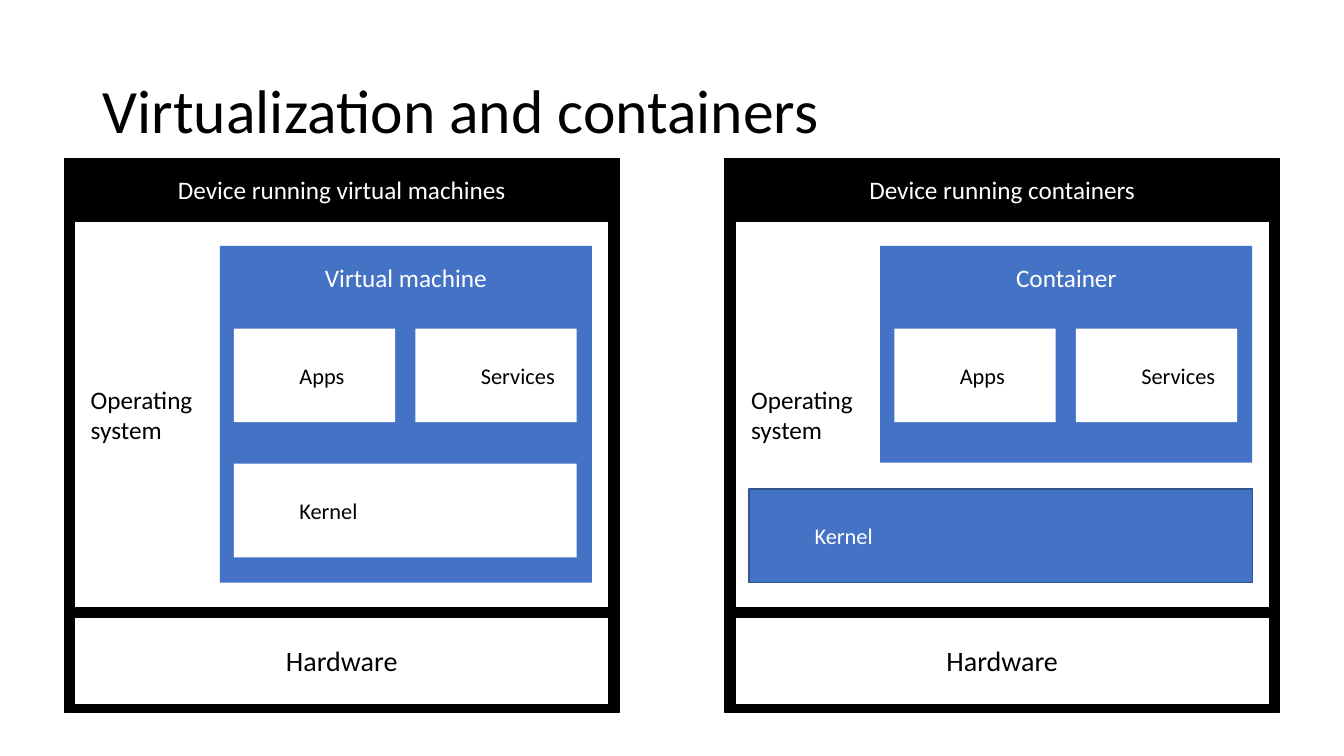
from pptx import Presentation
from pptx.dml.color import RGBColor
from pptx.enum import shapes, text
from pptx.util import Inches, Pt

# Content
TITLE = "Virtualization and containers"
BLACK, WHITE, BLUE, NAVY = "000000", "FFFFFF", "4472C4", "325491"
FONT = "Calibri"

# Layout: two square devices, inner places measured from a device's corner
WIDTH, HEIGHT = 13.33, 7.5
DEVICE_LEFT, DEVICE_TOP, DEVICE_SIDE, DEVICE_STEP = 0.64, 1.57, 5.5, 6.55
PAD = 0.1
INNER = DEVICE_SIDE - 2 * PAD
GUEST_LEFT, GUEST_TOP, GUEST_WIDTH = 1.54, 0.87, 3.69
PART_LEFT = GUEST_LEFT + 0.14
PART_TOP, PART_WIDTH, PART_STEP, PART_HEIGHT = 1.69, 1.6, 1.8, 0.93

# Styles: fill, line, font colour, size, alignment, anchor, insets
LEFT, CENTER = text.PP_ALIGN.LEFT, text.PP_ALIGN.CENTER
TOP, MIDDLE = text.MSO_ANCHOR.TOP, text.MSO_ANCHOR.MIDDLE
WIDE, INDENT = (0.2, 0.16, 0.2, 0.16), (0.65, 0, 0, 0)
STYLES = {
    "device": (BLACK, BLACK, WHITE, 18, CENTER, TOP, WIDE),
    "hardware": (WHITE, BLACK, BLACK, 20, CENTER, MIDDLE, WIDE),
    "system": (WHITE, BLACK, BLACK, 18, LEFT, MIDDLE, (0.16, 0.2, 0.16, 0.2)),
    "guest": (BLUE, None, WHITE, 18, CENTER, TOP, WIDE),
    "part": (WHITE, None, BLACK, 16, LEFT, MIDDLE, INDENT),
    "shared": (BLUE, NAVY, WHITE, 16, LEFT, MIDDLE, INDENT),
}

# Each device: caption, guest name, guest height, kernel style and place
DEVICES = [
    ("Device running virtual machines", "Virtual machine", 3.34,
     "part", (PART_LEFT, 3.03, 3.4, PART_HEIGHT)),
    ("Device running containers", "Container", 2.15,
     "shared", (0.24, 3.28, 4.99, PART_HEIGHT)),
]
PARTS = ["Apps", "Services"]


def color(value):
    return RGBColor.from_string(value)


def write(para, words, size, shade):
    for number, line in enumerate(words.split("\n")):
        if number:
            para.add_line_break()
        span = para.add_run()
        span.text = line
        span.font.name, span.font.size = FONT, Pt(size)
        span.font.color.rgb = color(shade)


def add_block(group, corner, words, style, place):
    fill, line, shade, size, align, anchor, insets = STYLES[style]
    left, top, width, height = place
    box = group.shapes.add_shape(
        shapes.MSO_SHAPE.RECTANGLE, Inches(corner + left),
        Inches(DEVICE_TOP + top), Inches(width), Inches(height))
    box.shadow.inherit = False
    box.fill.solid()
    box.fill.fore_color.rgb = color(fill)
    if line:
        box.line.color.rgb = color(line)
        box.line.width = Pt(1)
    else:
        box.line.fill.background()
    frame = box.text_frame
    frame.word_wrap = True
    frame.vertical_anchor = anchor
    (frame.margin_left, frame.margin_top,
     frame.margin_right, frame.margin_bottom) = map(Inches, insets)
    para = frame.paragraphs[0]
    para.alignment = align
    write(para, words, size, shade)


def main():
    deck = Presentation()
    deck.slide_width, deck.slide_height = Inches(WIDTH), Inches(HEIGHT)
    page = deck.slides.add_slide(deck.slide_layouts[5])

    # Title
    title = page.shapes.title
    title.left, title.top = Inches(0.92), Inches(0.4)
    title.width, title.height = Inches(11.5), Inches(1.45)
    title.text_frame.auto_size = text.MSO_AUTO_SIZE.NONE
    title.text_frame.vertical_anchor = MIDDLE
    heading = title.text_frame.paragraphs[0]
    heading.alignment, heading.line_spacing = LEFT, 0.9
    write(heading, TITLE, 44, BLACK)

    # Devices, each stacked from the frame inwards
    for column, (caption, guest, guest_height, kernel, kernel_place) in enumerate(DEVICES):
        group = page.shapes.add_group_shape()
        corner = DEVICE_LEFT + column * DEVICE_STEP
        blocks = [
            (caption, "device", (0, 0, DEVICE_SIDE, DEVICE_SIDE)),
            ("Hardware", "hardware", (PAD, 4.55, INNER, 0.87)),
            ("Operating\nsystem", "system", (PAD, 0.63, INNER, 3.83)),
            (guest, "guest", (GUEST_LEFT, GUEST_TOP, GUEST_WIDTH, guest_height)),
            ("Kernel", kernel, kernel_place),
        ]
        blocks += [
            (name, "part", (PART_LEFT + number * PART_STEP, PART_TOP, PART_WIDTH, PART_HEIGHT))
            for number, name in enumerate(PARTS)
        ]
        for words, style, place in blocks:
            add_block(group, corner, words, style, place)

    deck.save("out.pptx")


if __name__ == "__main__":
    main()
